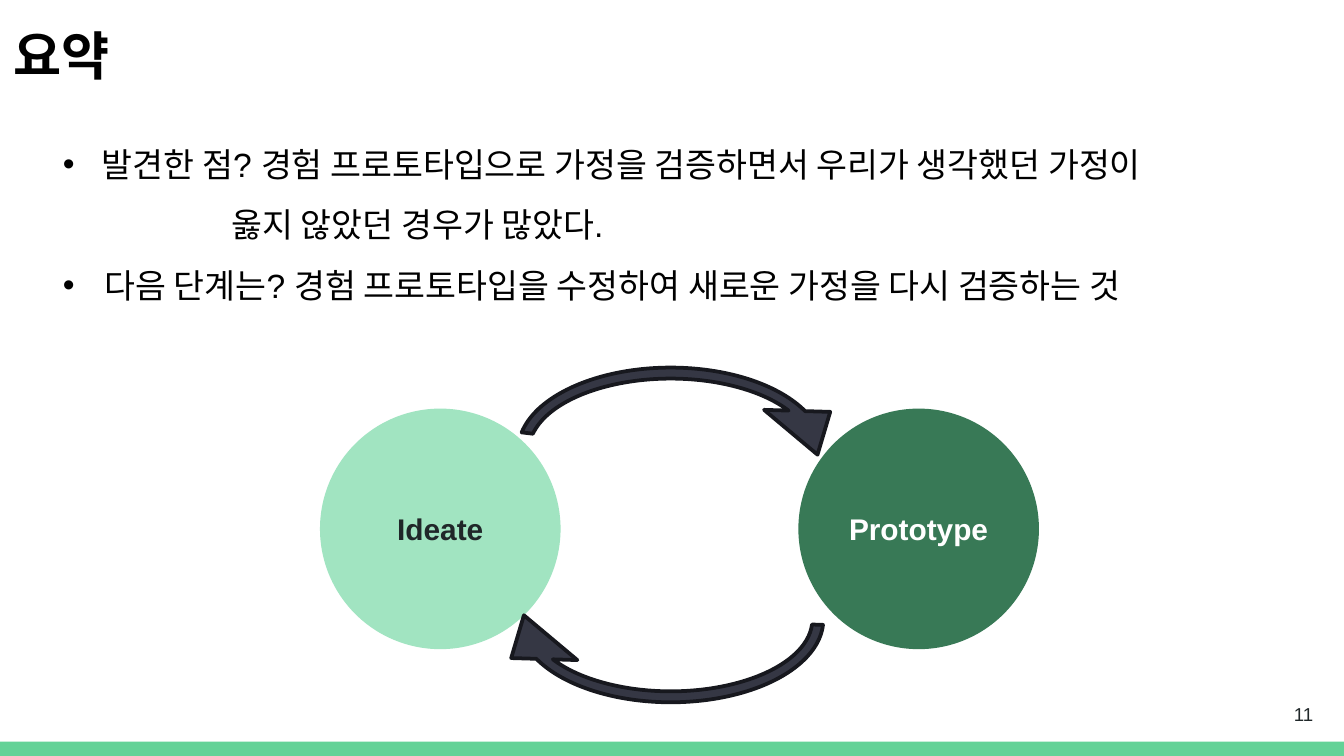
from dataclasses import dataclass

from lxml import etree
from pptx import Presentation
from pptx.dml.color import RGBColor
from pptx.enum.shapes import MSO_SHAPE
from pptx.enum.text import MSO_ANCHOR, MSO_AUTO_SIZE, PP_ALIGN
from pptx.oxml.ns import qn
from pptx.util import Pt

RECTANGLE, OVAL = MSO_SHAPE.RECTANGLE, MSO_SHAPE.OVAL
CIRCULAR_ARROW = MSO_SHAPE.CIRCULAR_ARROW
TOP, MIDDLE = MSO_ANCHOR.TOP, MSO_ANCHOR.MIDDLE
LEFT, CENTER, RIGHT = PP_ALIGN.LEFT, PP_ALIGN.CENTER, PP_ALIGN.RIGHT
GROW = MSO_AUTO_SIZE.SHAPE_TO_FIT_TEXT

FONT = "Arial"
BLACK, DARK, WHITE = "000000", "202729", "FFFFFF"
CIRCLE_TOP, CIRCLE_SIZE = 218.9, 128.9
ARROW_LEFT, ARROW_WIDTH, ARROW_HEIGHT = 262.8, 193, 118.1


@dataclass
class Stage:
    name: str
    left: float
    fill: str
    text_color: str


@dataclass
class CycleArrow:
    top: float
    rotation: float
    start_angle: float


@dataclass
class SummaryLine:
    text: str
    margin: float
    bullet: bool = True


STAGES = [
    Stage("Ideate", 171.4, "A1E4C1", DARK),
    Stage("Prototype", 427.7, "387956", WHITE),
]
ARROWS = [CycleArrow(182.2, 0, 112.1), CycleArrow(272.9, 180, 109.18)]
SUMMARY = [
    SummaryLine("발견한 점? 경험 프로토타입으로 가정을 검증하면서 우리가 생각했던 가정이", 20.9),
    SummaryLine("옳지 않았던 경우가 많았다.", 90.4, bullet=False),
    SummaryLine("다음 단계는? 경험 프로토타입을 수정하여 새로운 가정을 다시 검증하는 것", 22.3),
]


def color(value: str) -> RGBColor:
    return RGBColor.from_string(value)


def write(paragraph, text: str, *, size: float, text_color: str = BLACK,
          bold: bool = False, align=LEFT, spacing: float = 1.0) -> None:
    paragraph.alignment = align
    paragraph.line_spacing = spacing
    run = paragraph.add_run()
    run.text = text
    run.font.name = FONT
    run.font.size = Pt(size)
    run.font.bold = bold
    run.font.color.rgb = color(text_color)


def add_text_frame(slide, left: float, top: float, width: float, height: float,
                   anchor=TOP, inset: float = 7.2):
    box = slide.shapes.add_textbox(Pt(left), Pt(top), Pt(width), Pt(height))
    frame = box.text_frame
    frame.word_wrap = True
    frame.vertical_anchor = anchor
    frame.margin_top = frame.margin_bottom = Pt(inset)
    return frame


def add_filled_shape(slide, kind, left: float, top: float, width: float,
                     height: float, fill: str):
    shape = slide.shapes.add_shape(kind, Pt(left), Pt(top), Pt(width), Pt(height))
    shape.shadow.inherit = False
    shape.fill.solid()
    shape.fill.fore_color.rgb = color(fill)
    shape.line.fill.background()
    return shape


def indent(paragraph, line: SummaryLine) -> None:
    """Set the left margin and, for a bulleted line, a hanging bullet."""
    properties = paragraph._p.get_or_add_pPr()
    properties.set("marL", str(Pt(line.margin)))
    if not line.bullet:
        return
    properties.set("indent", str(-Pt(line.margin)))
    bullet_color = etree.SubElement(properties, qn("a:buClr"))
    etree.SubElement(bullet_color, qn("a:srgbClr"), val=BLACK)
    etree.SubElement(properties, qn("a:buFont"), typeface=FONT)
    etree.SubElement(properties, qn("a:buChar"), char="•")


def add_summary(slide) -> None:
    frame = add_text_frame(slide, 26.6, 62.6, 666, 101.5, inset=3.6)
    frame.auto_size = GROW
    for index, line in enumerate(SUMMARY):
        paragraph = frame.add_paragraph() if index else frame.paragraphs[0]
        write(paragraph, line.text, size=18, spacing=1.5)
        indent(paragraph, line)


def add_stage(slide, stage: Stage) -> None:
    circle = add_filled_shape(slide, OVAL, stage.left, CIRCLE_TOP,
                              CIRCLE_SIZE, CIRCLE_SIZE, stage.fill)
    circle.text_frame.vertical_anchor = MIDDLE
    write(circle.text_frame.paragraphs[0], stage.name, size=16,
          text_color=stage.text_color, bold=True, align=CENTER)


def add_cycle_arrow(slide, arrow: CycleArrow) -> None:
    shape = add_filled_shape(slide, CIRCULAR_ARROW, ARROW_LEFT, arrow.top,
                             ARROW_WIDTH, ARROW_HEIGHT, "353744")
    shape.rotation = arrow.rotation
    shape.line.color.rgb = color("17181E")
    shape.line.width = Pt(2)
    for index, value in enumerate((0.05, 11.42, 205.62, arrow.start_angle, 0.15)):
        shape.adjustments[index] = value


def main() -> None:
    presentation = Presentation()
    presentation.slide_width, presentation.slide_height = Pt(720), Pt(405)
    slide = presentation.slides.add_slide(presentation.slide_layouts[6])

    add_filled_shape(slide, RECTANGLE, 0, 397.4, 720, 7.6, "63D297")
    title = add_text_frame(slide, 0, 0, 720, 45.4)
    write(title.paragraphs[0], "요약", size=28, bold=True, spacing=1.15)
    page_number = add_text_frame(slide, 667.4, 367.2, 43.2, 31, anchor=MIDDLE)
    write(page_number.paragraphs[0], "11", size=10, text_color=DARK, align=RIGHT)
    add_summary(slide)
    for stage in STAGES:
        add_stage(slide, stage)
    for arrow in ARROWS:
        add_cycle_arrow(slide, arrow)

    presentation.save("out.pptx")


if __name__ == "__main__":
    main()
